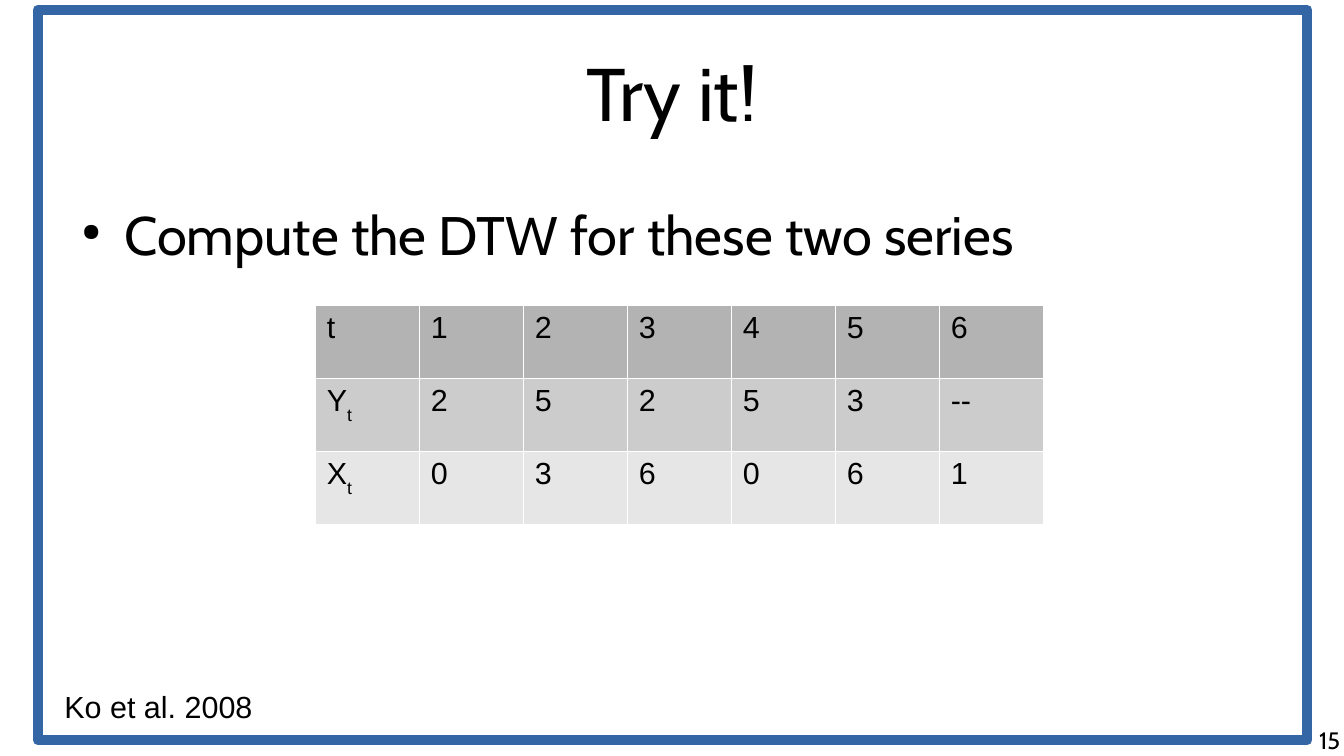
from dataclasses import dataclass

from lxml.etree import SubElement
from pptx import Presentation
from pptx.dml.color import RGBColor
from pptx.enum.shapes import MSO_SHAPE
from pptx.enum.text import MSO_ANCHOR, PP_ALIGN
from pptx.oxml.ns import qn
from pptx.util import Inches, Pt

TITLE = "Try it!"
TASK = "Compute the DTW for these two series"
CITATION = "Ko et al. 2008"
PAGE_NUMBER = "15"
# Each row: label, subscript of the label, values
SERIES = [
    ("t", "", ["1", "2", "3", "4", "5", "6"]),
    ("Y", "t", ["2", "5", "2", "5", "3", "--"]),
    ("X", "t", ["0", "3", "6", "0", "6", "1"]),
]


@dataclass(frozen=True)
class Theme:
    heading_font: str = "Cabin"
    plain_font: str = "Arial"
    title_size: int = 44
    task_size: int = 32
    plain_size: int = 18
    number_size: int = 14
    ink: str = "000000"
    frame: str = "3465A4"
    grid: str = "FFFFFF"
    rows: tuple = ("B3B3B3", "CCCCCC", "E6E6E6")


THEME = Theme()


def add_span(para, text, size, font):
    span = para.add_run()
    span.text = text
    span.font.size = Pt(size)
    span.font.name = font
    span.font.bold = False
    span.font.color.rgb = RGBColor.from_string(THEME.ink)
    return span


def place(box, left, top, width, height):
    box.left, box.top = Inches(left), Inches(top)
    box.width, box.height = Inches(width), Inches(height)


def set_insets(frame, side, end):
    frame.margin_left = frame.margin_right = Inches(side)
    frame.margin_top = frame.margin_bottom = Inches(end)


def add_text(page, area, text, size, font, side=0, end=0):
    """Add a one-paragraph text box and return its paragraph."""
    box = page.shapes.add_textbox(*map(Inches, area))
    box.text_frame.word_wrap = True
    set_insets(box.text_frame, side, end)
    para = box.text_frame.paragraphs[0]
    add_span(para, text, size, font)
    return para


def add_bullet(para, left, hanging):
    properties = para._p.get_or_add_pPr()
    properties.set("marL", str(Inches(left)))
    properties.set("indent", str(-Inches(hanging)))
    color = SubElement(properties, qn("a:buClr"))
    SubElement(color, qn("a:srgbClr"), val=THEME.ink)
    SubElement(properties, qn("a:buSzPct"), val="45000")
    SubElement(properties, qn("a:buChar"), char="●")


def style_cell(cell, fill):
    properties = cell._tc.get_or_add_tcPr()
    for side in ("lnL", "lnR", "lnT", "lnB"):
        line = SubElement(properties, qn(f"a:{side}"), w=str(Pt(0.06)))
        solid = SubElement(line, qn("a:solidFill"))
        SubElement(solid, qn("a:srgbClr"), val=THEME.grid)
    cell.fill.solid()
    cell.fill.fore_color.rgb = RGBColor.from_string(fill)
    set_insets(cell, 0.1, 0.05)


def add_title(page):
    title = page.shapes.title
    place(title, 0.55, 0.01, 9.92, 1.49)
    set_insets(title.text_frame, 0, 0)
    title.text_frame.vertical_anchor = MSO_ANCHOR.MIDDLE
    para = title.text_frame.paragraphs[0]
    para.alignment = PP_ALIGN.CENTER
    add_span(para, TITLE, THEME.title_size, THEME.heading_font)


def add_frame(page):
    frame = page.shapes.add_shape(
        MSO_SHAPE.RECTANGLE, *map(Inches, (0.31, 0.08, 10.41, 5.99)))
    frame.shadow.inherit = False
    frame.fill.background()
    frame.line.color.rgb = RGBColor.from_string(THEME.frame)
    frame.line.width = Pt(6)
    SubElement(frame.line._get_or_add_ln(), qn("a:round"))


def add_series_table(page):
    columns = 1 + len(SERIES[0][2])
    table = page.shapes.add_table(
        len(SERIES), columns, *map(Inches, (2.58, 2.5, 5.97, 1.8))).table
    table.first_row = table.horz_banding = False
    for row, (label, subscript, values) in enumerate(SERIES):
        for column, text in enumerate([label, *values]):
            cell = table.cell(row, column)
            style_cell(cell, THEME.rows[row])
            add_span(cell.text_frame.paragraphs[0], text,
                     THEME.plain_size, THEME.plain_font)
        if subscript:
            span = add_span(table.cell(row, 0).text_frame.paragraphs[0], subscript,
                            THEME.plain_size, THEME.plain_font)
            span._r.get_or_add_rPr().set("baseline", "-33000")


def main():
    deck = Presentation()
    deck.slide_width, deck.slide_height = Inches(11.02), Inches(6.2)
    page = deck.slides.add_slide(deck.slide_layouts[5])
    add_title(page)
    task = add_text(page, (0.55, 1.65, 9.92, 4.13), TASK,
                    THEME.task_size, THEME.heading_font)
    add_bullet(task, 0.47, 0.35)
    add_frame(page)
    add_series_table(page)
    add_text(page, (0.43, 5.59, 2.34, 0.38), CITATION,
             THEME.plain_size, THEME.plain_font, 0.1, 0.05)
    number = add_text(page, (8.42, 5.95, 2.57, 0.25), PAGE_NUMBER,
                      THEME.number_size, THEME.heading_font)
    number.alignment = PP_ALIGN.RIGHT
    deck.save("out.pptx")


if __name__ == "__main__":
    main()
